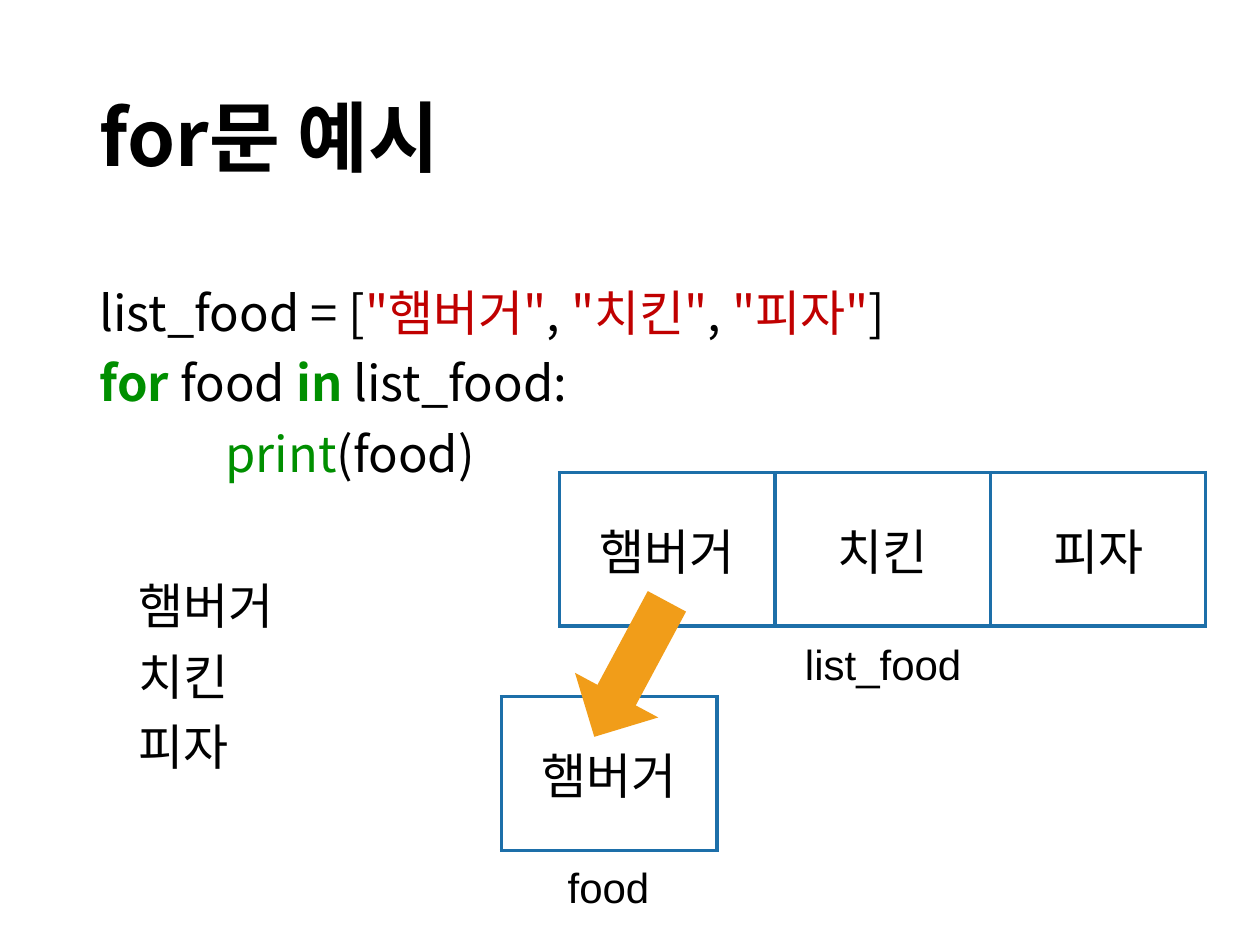
from dataclasses import dataclass

import pptx
import pptx.dml.color
import pptx.enum.shapes
import pptx.enum.text
import pptx.oxml
import pptx.oxml.ns
import pptx.util
from pptx.util import Inches

BLACK = pptx.dml.color.RGBColor(0x00, 0x00, 0x00)
RED = pptx.dml.color.RGBColor(0xC0, 0x00, 0x00)
GREEN = pptx.dml.color.RGBColor(0x00, 0x8F, 0x00)
BLUE = pptx.dml.color.RGBColor(0x1D, 0x6F, 0xA9)
ORANGE = pptx.dml.color.RGBColor(0xF1, 0x9D, 0x19)
KOREAN_FONT = "Noto Sans CJK KR"
LATIN_FONT = "Arial"
ALIGN = pptx.enum.text.PP_ALIGN
ANCHOR = pptx.enum.text.MSO_ANCHOR
AUTO_SIZE = pptx.enum.text.MSO_AUTO_SIZE
CELL_WIDTH = 1.71
CELL_HEIGHT = 1.22


@dataclass
class Span:
    text: str
    color: pptx.dml.color.RGBColor = BLACK
    bold: bool = False


@dataclass
class Line:
    spans: list[Span]
    indent: float = 0
    before: float = 8


@dataclass
class FoodTable:
    left: float
    top: float
    foods: list[str]


@dataclass
class Caption:
    text: str
    left: float
    top: float
    width: float


LINES = [
    Line([Span("list_food = ["), Span('"햄버거"', RED), Span(", "), Span('"치킨"', RED),
          Span(", "), Span('"피자"', RED), Span("]")]),
    Line([Span("for ", GREEN, True), Span("food "), Span("in ", GREEN, True), Span("list_food:")]),
    Line([Span("print", GREEN), Span("(food)")], indent=1),
    Line([Span("햄버거")], indent=0.31, before=55),
    Line([Span("치킨")], indent=0.31),
    Line([Span("피자")], indent=0.31),
]
TABLES = [FoodTable(4.44, 3.75, ["햄버거", "치킨", "피자"]), FoodTable(3.98, 5.53, ["햄버거"])]
CAPTIONS = [Caption("list_food", 6.28, 5.02, 1.46), Caption("food", 4.4, 6.79, 0.86)]


def add_text(para, text: str, *, size: float, font: str = KOREAN_FONT,
             color: pptx.dml.color.RGBColor = BLACK, bold: bool = False) -> None:
    span = para.add_run()
    span.text = text
    span.font.size = pptx.util.Pt(size)
    span.font.bold = bold
    span.font.color.rgb = color
    span.font.name = font
    east_asian = pptx.oxml.parse_xml(
        f'<a:ea {pptx.oxml.ns.nsdecls("a")} typeface="{KOREAN_FONT}"/>')
    span.font._element.append(east_asian)


def place(box, left: float, top: float, width: float, height: float) -> None:
    box.left, box.top = Inches(left), Inches(top)
    box.width, box.height = Inches(width), Inches(height)


def draw_title(box) -> None:
    place(box, 0.69, 0.4, 8.62, 1.45)
    frame = box.text_frame
    frame.auto_size = AUTO_SIZE.NONE
    frame.vertical_anchor = ANCHOR.MIDDLE
    para = frame.paragraphs[0]
    para.alignment = ALIGN.LEFT
    para.line_spacing = 0.9
    add_text(para, "for문 예시", size=44, bold=True)


def draw_code(box, lines: list[Line]) -> None:
    place(box, 0.69, 2.22, 8.62, 4.54)
    frame = box.text_frame
    frame.auto_size = AUTO_SIZE.NONE
    for index, line in enumerate(lines):
        para = frame.add_paragraph() if index else frame.paragraphs[0]
        para.line_spacing = 0.96
        para.space_before = pptx.util.Pt(line.before if index else 0)
        properties = para._p.get_or_add_pPr()
        properties.set("marL", str(Inches(line.indent)))
        properties.set("indent", "0")
        properties.append(pptx.oxml.parse_xml(f'<a:buNone {pptx.oxml.ns.nsdecls("a")}/>'))
        for span in line.spans:
            add_text(para, span.text, size=28, color=span.color, bold=span.bold)


def draw_borders(cell) -> None:
    properties = cell._tc.get_or_add_tcPr()
    for index, side in enumerate(("lnL", "lnR", "lnT", "lnB")):
        properties.insert(index, pptx.oxml.parse_xml(
            f'<a:{side} {pptx.oxml.ns.nsdecls("a")} w="{pptx.util.Pt(2.25)}">'
            f'<a:solidFill><a:srgbClr val="{BLUE}"/></a:solidFill></a:{side}>'))


def draw_table(page, item: FoodTable) -> None:
    count = len(item.foods)
    table = page.shapes.add_table(
        1, count, Inches(item.left), Inches(item.top),
        Inches(CELL_WIDTH * count), Inches(CELL_HEIGHT)).table
    table.first_row = False
    table.horz_banding = False
    for cell, food in zip(table.iter_cells(), item.foods):
        cell.fill.background()
        cell.vertical_anchor = ANCHOR.MIDDLE
        draw_borders(cell)
        para = cell.text_frame.paragraphs[0]
        para.alignment = ALIGN.CENTER
        add_text(para, food, size=28, font=LATIN_FONT)


def draw_caption(page, item: Caption) -> None:
    box = page.shapes.add_textbox(
        Inches(item.left), Inches(item.top), Inches(item.width), Inches(0.5))
    frame = box.text_frame
    frame.word_wrap = False
    frame.auto_size = AUTO_SIZE.SHAPE_TO_FIT_TEXT
    para = frame.paragraphs[0]
    para.alignment = ALIGN.CENTER
    add_text(para, item.text, size=24, font=LATIN_FONT)


def draw_arrow(page) -> None:
    arrow = page.shapes.add_shape(
        pptx.enum.shapes.MSO_SHAPE.DOWN_ARROW,
        Inches(4.63), Inches(4.7), Inches(0.75), Inches(1.22))
    arrow.rotation = 28.2
    arrow.adjustments[0] = 0.46
    arrow.adjustments[1] = 0.5
    arrow.shadow.inherit = False
    arrow.fill.solid()
    arrow.fill.fore_color.rgb = ORANGE
    arrow.line.fill.background()


def main() -> None:
    deck = pptx.Presentation()
    deck.slide_width, deck.slide_height = Inches(10), Inches(7.5)
    page = deck.slides.add_slide(deck.slide_layouts[1])
    draw_title(page.shapes.title)
    draw_code(page.placeholders[1], LINES)
    for item in TABLES:
        draw_table(page, item)
    for item in CAPTIONS:
        draw_caption(page, item)
    draw_arrow(page)
    deck.save("out.pptx")


if __name__ == "__main__":
    main()
